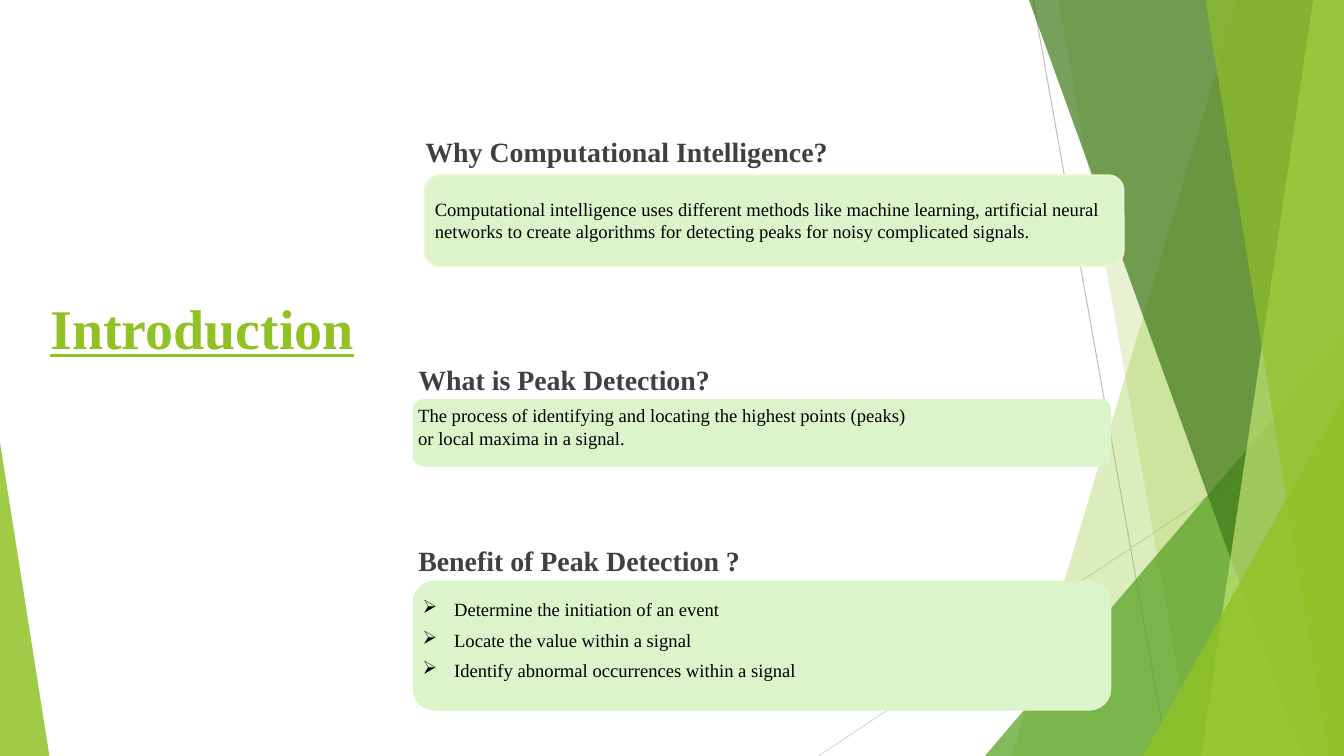
from lxml.etree import SubElement
from pptx import Presentation
from pptx.dml.color import RGBColor
from pptx.enum.shapes import MSO_CONNECTOR, MSO_SHAPE
from pptx.enum.text import MSO_ANCHOR, MSO_AUTO_SIZE, PP_ALIGN
from pptx.oxml.ns import qn
from pptx.util import Pt

WIDTH, HEIGHT = 960, 540
FONT = "Times New Roman"
GREEN = RGBColor(0x90, 0xC2, 0x26)
LEAF = RGBColor(0x54, 0xA0, 0x21)
FOREST = RGBColor(0x3F, 0x78, 0x19)
LIME = RGBColor(0xC0, 0xE4, 0x74)
MINT = RGBColor(0xDB, 0xF4, 0xCA)
PALE = RGBColor(0xEA, 0xF6, 0xD1)
GREY = RGBColor(0xBF, 0xBF, 0xBF)
LIGHT_GREY = RGBColor(0xD9, 0xD9, 0xD9)
CHARCOAL = RGBColor(0x40, 0x40, 0x40)
BLACK = RGBColor(0, 0, 0)

TITLE = "Introduction"
HEADINGS = [
    ("Why Computational Intelligence?", 0, 5),
    ("What is Peak Detection?", 138.5, 0),
    ("Benefit of Peak Detection ?", 105.7, 0),
]
CARDS = [
    ((303.5, 125.3, 499, 64.8), PALE),
    ((294.8, 285.1, 499, 48.2), None),
    ((294.8, 414.7, 499, 92.9), None),
]
TEXTS = [
    ((303.5, 137.5, 499, 39.6), False, [
        "Computational intelligence uses different methods like machine learning, "
        "artificial neural networks to create algorithms for detecting peaks for "
        "noisy complicated signals."]),
    ((291.6, 285.1, 366.5, 40.3), False, [
        "The process of identifying and locating the highest points (peaks) "
        "or local maxima in a signal."]),
    ((294.8, 423.4, 288, 92.9), True, [
        "Determine the initiation of an event",
        "Locate the value within a signal",
        "Identify abnormal occurrences within a signal"]),
]
RAYS = [((738, 0), (834, HEIGHT), GREY), ((WIDTH, 290.2), (584.6, HEIGHT), LIGHT_GREY)]
FACETS = [
    ("band", 884, 723, GREEN, 30),
    ("band", 756, 852, GREEN, 20),
    ("corner", 703.5, 239.8, LEAF, 72),
    ("band", 735, 929.5, FOREST, 70),
    ("band", 938, 858, LIME, 70),
    ("band", 861, 949, GREEN, 65),
    ("corner", 816.5, 283, GREEN, 80),
]


def place(shape, box):
    shape.left, shape.top, shape.width, shape.height = map(Pt, box)


def paint(shape, color, opacity=100):
    shape.shadow.inherit = False
    shape.line.fill.background()
    shape.fill.solid()
    shape.fill.fore_color.rgb = color
    if opacity < 100:
        clr = shape.fill._xPr.find(qn("a:solidFill"))[0]
        SubElement(clr, qn("a:alpha"), val=str(opacity * 1000))


def add_ray(s, start, end, color):
    ray = s.shapes.add_connector(MSO_CONNECTOR.STRAIGHT, *map(Pt, start + end))
    ray.line.color.rgb = color
    ray.line.width = Pt(0.75)
    SubElement(ray._element.spPr, qn("a:effectLst"))


def add_band(s, top_x, bottom_x, color, opacity):
    builder = s.shapes.build_freeform(top_x, 0, scale=Pt(1))
    builder.add_line_segments([(WIDTH, 0), (WIDTH, HEIGHT), (bottom_x, HEIGHT)])
    paint(builder.convert_to_shape(), color, opacity)


def add_corner(s, left, right, top, apex, color, opacity):
    box = (left, top, right - left, HEIGHT - top)
    corner = s.shapes.add_shape(MSO_SHAPE.ISOSCELES_TRIANGLE, *map(Pt, box))
    corner.adjustments[0] = apex
    paint(corner, color, opacity)


def style(p, size, color, bold=False):
    p.alignment = PP_ALIGN.LEFT
    for r in p.runs:
        r.font.name, r.font.size, r.font.bold = FONT, Pt(size), bold
        r.font.color.rgb = color


def set_bullet(p, indent, hanging, char=None):
    pPr = p._p.get_or_add_pPr()
    pPr.set("marL", str(Pt(indent)))
    pPr.set("indent", str(Pt(-hanging)))
    if char:
        SubElement(pPr, qn("a:buChar"), char=char)
    else:
        SubElement(pPr, qn("a:buNone"))


def add_decor(s):
    for ray in RAYS:
        add_ray(s, *ray)
    for kind, x, y, color, opacity in FACETS:
        if kind == "band":
            add_band(s, x, y, color, opacity)
        else:
            add_corner(s, x, WIDTH, y, 1, color, opacity)
    add_corner(s, 0, 35.3, 316, 0, GREEN, 85)


def fill_title(title):
    place(title, (28.8, 203.8, 262.8, 57.6))
    tf = title.text_frame
    tf.text = TITLE
    tf.auto_size = MSO_AUTO_SIZE.NONE
    tf.vertical_anchor = MSO_ANCHOR.BOTTOM
    style(tf.paragraphs[0], 40, GREEN, True)
    tf.paragraphs[0].runs[0].font.underline = True


def fill_body(body):
    place(body, (291.6, 92.9, 476.6, 370))
    tf = body.text_frame
    tf.text = "\n".join(text for text, gap, indent in HEADINGS)
    tf.auto_size = MSO_AUTO_SIZE.NONE
    for p, (text, gap, indent) in zip(tf.paragraphs, HEADINGS):
        style(p, 19.9, CHARCOAL, True)
        p.space_before = Pt(gap)
        set_bullet(p, indent, 0)


def add_card(s, box, border):
    card = s.shapes.add_shape(MSO_SHAPE.ROUNDED_RECTANGLE, *map(Pt, box))
    paint(card, MINT)
    if border:
        card.line.color.rgb = border
        card.line.width = Pt(1.5)


def add_text(s, box, bulleted, lines):
    tf = s.shapes.add_textbox(*map(Pt, box)).text_frame
    tf.word_wrap = True
    tf.text = "\n".join(lines)
    for p in tf.paragraphs:
        style(p, 13.3, BLACK)
        p.space_after = Pt(6)
        if bulleted:
            set_bullet(p, 22.5, 22.5, "➢")


def main():
    prs = Presentation()
    prs.slide_width, prs.slide_height = Pt(WIDTH), Pt(HEIGHT)
    s = prs.slides.add_slide(prs.slide_layouts[1])
    title, body = s.shapes.title, s.placeholders[1]
    fill_title(title)
    fill_body(body)
    add_decor(s)
    for placeholder in (title, body):
        s.shapes[-1].element.addnext(placeholder.element)
    for card in CARDS:
        add_card(s, *card)
    for text in TEXTS:
        add_text(s, *text)
    prs.save("out.pptx")


if __name__ == "__main__":
    main()
